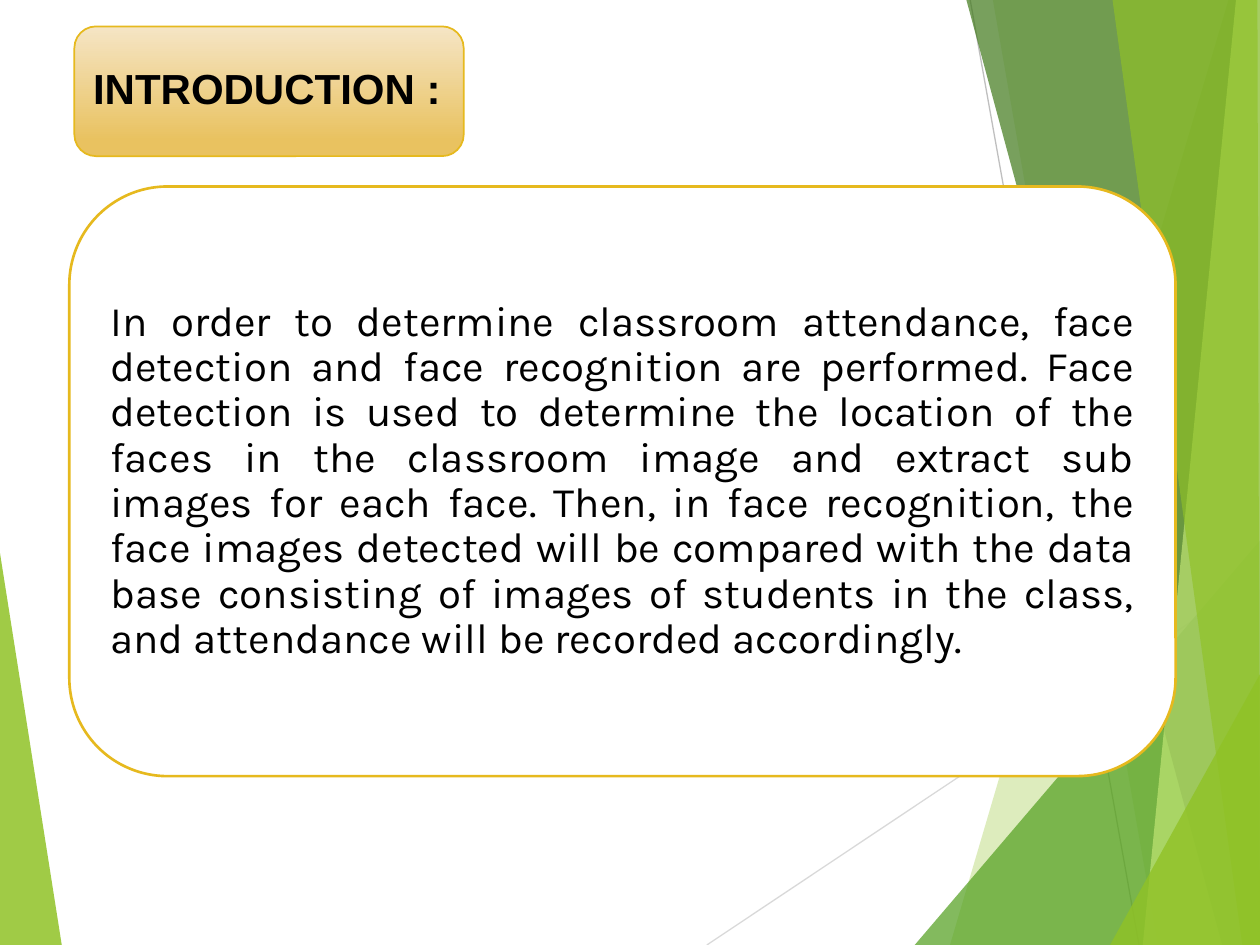
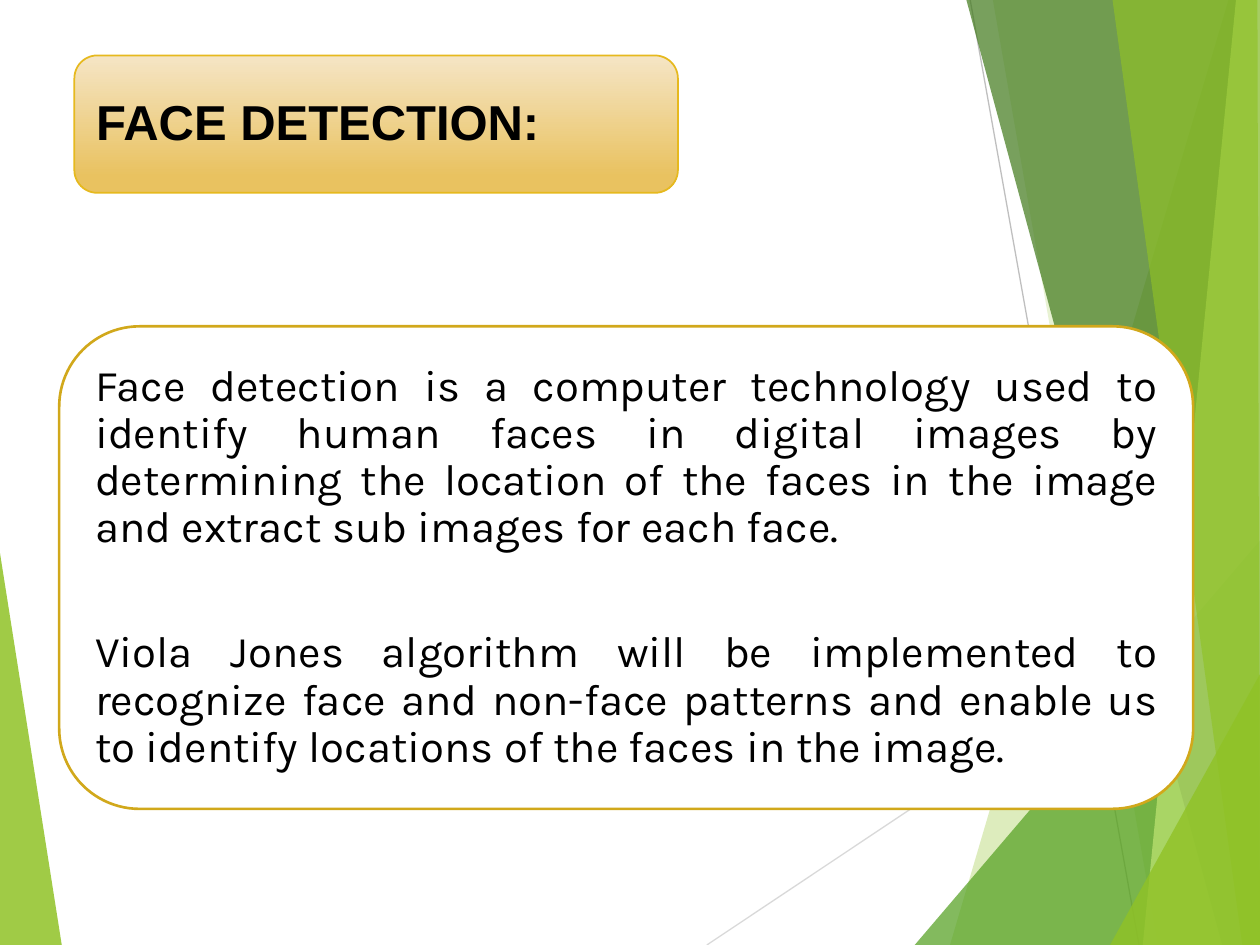
from lxml import etree
from pptx import Presentation
from pptx.dml.color import RGBColor
from pptx.enum.shapes import MSO_CONNECTOR, MSO_SHAPE
from pptx.enum.text import MSO_ANCHOR, PP_ALIGN
from pptx.oxml.ns import qn
from pptx.util import Inches, Pt

STRAIGHT = MSO_CONNECTOR.STRAIGHT
ROUNDED = MSO_SHAPE.ROUNDED_RECTANGLE
MIDDLE = MSO_ANCHOR.MIDDLE
LEFT, JUSTIFY = PP_ALIGN.LEFT, PP_ALIGN.JUSTIFY
WIDTH, HEIGHT = 10, 7.5
TITLE_FONT, BODY_FONT = "Arial", "Karla"

COLORS = {
    "text": "000000",
    "card": "FFFFFF",
    "gold": "E6B91E",
    "dark_gold": "D1A81B",
    "title_top": "F5E5C5",
    "title_bottom": "E9C260",
    "lime": "90C226",
    "green": "54A021",
    "forest": "3F7819",
    "pale": "C0E474",
    "light_line": "D9D9D9",
    "grey_line": "BFBFBF",
}

RAYS = [
    ((5.61, HEIGHT), (WIDTH, 4.57), "light_line"),
    ((7.7, 0), (9.04, HEIGHT), "grey_line"),
]
LEFT_FACET = ([(0, 4.39), (0.49, HEIGHT), (0, HEIGHT)], "lime", 85)
RIGHT_FACETS = [
    ([(9.75, 0), (7.54, HEIGHT), (WIDTH, HEIGHT), (WIDTH, 0)], "lime", 30),
    ([(7.88, 0), (9.19, HEIGHT), (WIDTH, HEIGHT), (WIDTH, 0)], "lime", 20),
    ([(7.26, HEIGHT), (WIDTH, 4.29), (WIDTH, HEIGHT)], "green", 72),
    ([(7.67, 0), (9.7, HEIGHT), (WIDTH, HEIGHT), (WIDTH, 0)], "forest", 70),
    ([(9.81, 0), (9.07, HEIGHT), (WIDTH, HEIGHT), (WIDTH, 0)], "pale", 70),
    ([(8.83, 0), (9.86, HEIGHT), (WIDTH, HEIGHT), (9.98, 0)], "lime", 65),
    ([(8.81, HEIGHT), (WIDTH, 5.35), (WIDTH, HEIGHT)], "lime", 80),
]


def color(name):
    return RGBColor.from_string(COLORS[name])


def add_facet(slide, points, fill, opacity):
    builder = slide.shapes.build_freeform(*map(Inches, points[0]), scale=1.0)
    builder.add_line_segments([(Inches(x), Inches(y)) for x, y in points[1:]])
    shape = builder.convert_to_shape()
    shape.shadow.inherit = False
    shape.fill.solid()
    shape.fill.fore_color.rgb = color(fill)
    shape.line.fill.background()
    rgb = shape.fill._xPr.find(qn("a:solidFill")).find(qn("a:srgbClr"))
    etree.SubElement(rgb, qn("a:alpha")).set("val", str(opacity * 1000))


def add_ray(slide, start, end, line):
    connector = slide.shapes.add_connector(STRAIGHT, *map(Inches, start + end))
    connector.line.color.rgb = color(line)
    connector.line.width = Pt(0.75)
    etree.SubElement(connector._element.spPr, qn("a:effectLst"))


def add_backdrop(slide):
    add_facet(slide, *LEFT_FACET)
    for ray in RAYS:
        add_ray(slide, *ray)
    for facet in RIGHT_FACETS:
        add_facet(slide, *facet)


def add_rounded_box(slide, box, line, line_width):
    shape = slide.shapes.add_shape(ROUNDED, *map(Inches, box))
    shape.shadow.inherit = False
    shape.line.color.rgb = color(line)
    shape.line.width = Pt(line_width)
    return shape


def write_text(shape, paragraphs, font, size, bold=False, align=LEFT, margin=0.1, gap=0):
    frame = shape.text_frame
    frame.word_wrap = True
    frame.vertical_anchor = MIDDLE
    frame.margin_left = frame.margin_right = Inches(margin)
    frame.margin_top = frame.margin_bottom = Inches(margin)
    for index, text in enumerate(paragraphs):
        paragraph = frame.add_paragraph() if index else frame.paragraphs[0]
        paragraph.alignment = align
        paragraph.line_spacing = 0.9
        if index:
            paragraph.space_before = Pt(gap)
        run = paragraph.add_run()
        run.text = text
        run.font.name = font
        run.font.size = Pt(size)
        run.font.bold = bold
        run.font.color.rgb = color("text")


def add_title(slide, box, text, size, margin):
    shape = add_rounded_box(slide, box, "gold", 1)
    shape.fill.gradient()
    shape.fill.gradient_angle = 270
    stops = zip(shape.fill.gradient_stops, [(0, "title_top"), (0.88, "title_bottom")])
    for stop, (position, name) in stops:
        stop.position = position
        stop.color.rgb = color(name)
    write_text(shape, [text], TITLE_FONT, size, bold=True, margin=margin)


def add_card(slide, box, paragraphs, size, line):
    shape = add_rounded_box(slide, box, line, 1.5)
    shape.fill.solid()
    shape.fill.fore_color.rgb = color("card")
    write_text(shape, paragraphs, BODY_FONT, size, align=JUSTIFY, gap=44.5)


def add_topic_slide(presentation, title, card):
    slide = presentation.slides.add_slide(presentation.slide_layouts[6])
    add_backdrop(slide)
    add_card(slide, **card)
    add_title(slide, **title)


def main():
    presentation = Presentation()
    presentation.slide_width = Inches(WIDTH)
    presentation.slide_height = Inches(HEIGHT)
    add_topic_slide(
        presentation,
        title={"box": (0.59, 0.21, 3.09, 1.03), "text": "INTRODUCTION :",
               "size": 24, "margin": 0.1},
        card={"box": (0.55, 1.48, 8.78, 4.68), "size": 24, "line": "gold", "paragraphs": [
            "In order to determine classroom attendance, face detection and face "
            "recognition are performed. Face detection is used to determine the "
            "location of the faces in the classroom image and extract sub images "
            "for each face. Then, in face recognition, the face images detected "
            "will be compared with the data base consisting of images of students "
            "in the class, and attendance will be recorded accordingly.",
        ]},
    )
    add_topic_slide(
        presentation,
        title={"box": (0.59, 0.44, 4.79, 1.09), "text": "FACE DETECTION:",
               "size": 28, "margin": 0.12},
        card={"box": (0.47, 2.59, 9, 3.83), "size": 25, "line": "dark_gold", "paragraphs": [
            "Face detection is a computer technology used to identify human faces "
            "in digital images by determining the location of the faces in the "
            "image and extract sub images for each face.",
            "Viola Jones algorithm will be implemented to recognize face and "
            "non-face patterns and enable us to identify locations of the faces "
            "in the image.",
        ]},
    )
    presentation.save("out.pptx")


if __name__ == "__main__":
    main()
